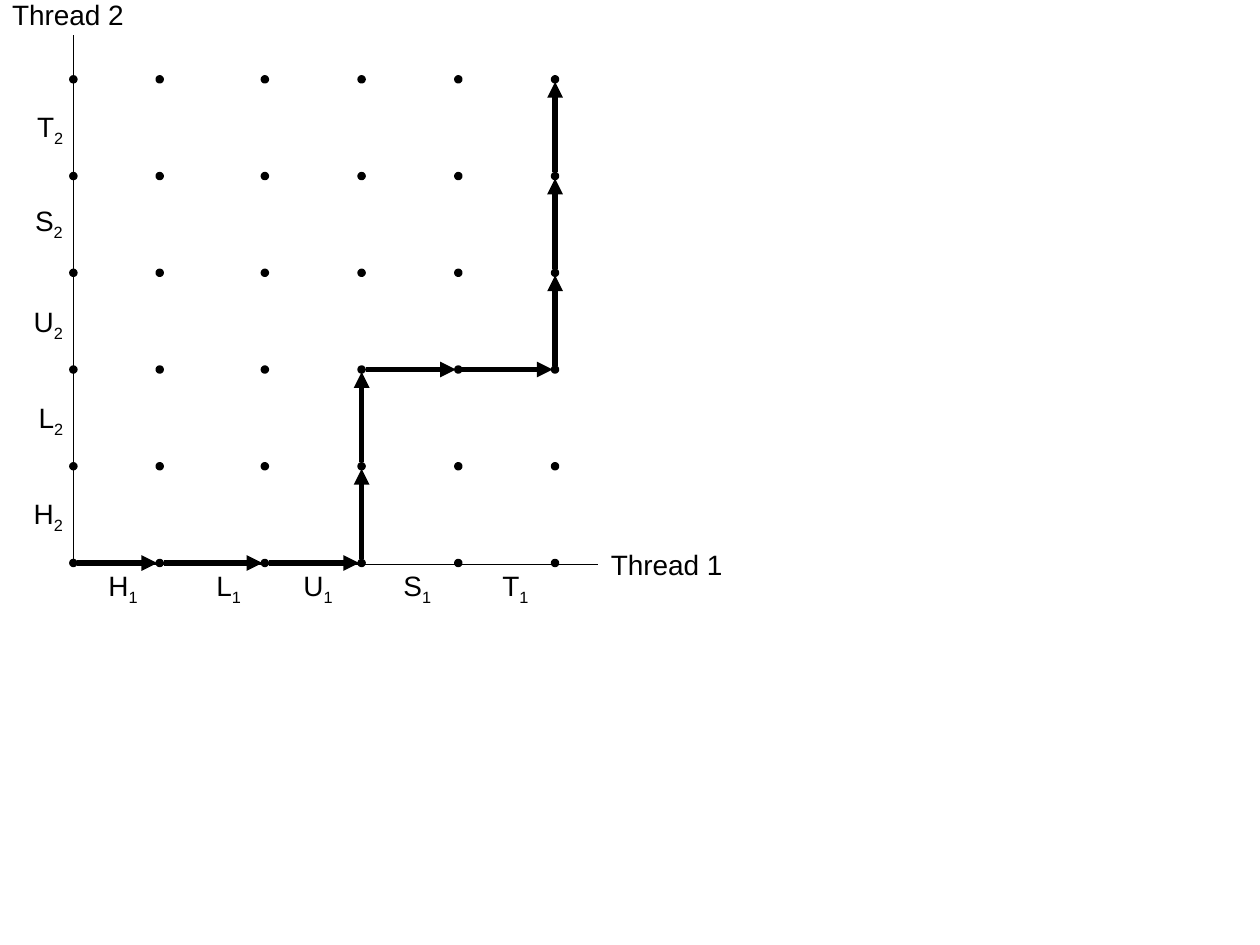
from itertools import pairwise, product

from lxml.etree import SubElement
from pptx import Presentation
from pptx.dml.color import RGBColor as Rgb
from pptx.enum.shapes import MSO_CONNECTOR as Connector, MSO_SHAPE as Shape
from pptx.enum.text import MSO_ANCHOR as Anchor, MSO_AUTO_SIZE as AutoSize, PP_ALIGN as Align
from pptx.oxml.ns import qn
from pptx.util import Cm, Pt

COLORS = {"ink": "000000", "paper": "FFFFFF"}
STEP = 1.95
COLUMNS = [1.48, 3.22] + [5.34 + STEP * step for step in range(4)]
ROWS = [1.6 + STEP * step for step in range(6)]
AXIS_Y = 11.38
ROUTE = [(0, 5), (1, 5), (2, 5), (3, 5), (3, 4), (3, 3), (4, 3), (5, 3), (5, 2), (5, 1), (5, 0)]
LABEL_WIDTHS = {"H": 1.09, "L": 0.99, "U": 1.09, "S": 1.07, "T": 1.02}
THREAD_1_CENTERS = [2.48, 4.61, 6.41, 8.41, 10.39]
THREAD_2_CENTERS = [10.4, 8.47, 6.52, 4.48, 2.6]


class ProgressGraph:
    font = "Arial"
    size = Pt(16)
    dot_size = 0.1
    label_height = 1.05
    side_margin = Cm(0.15)

    def __init__(self, page):
        self.page = page
        page.background.fill.solid()
        page.background.fill.fore_color.rgb = self.color("paper")

    def color(self, name):
        return Rgb.from_string(COLORS[name])

    def line(self, start, end, weight, arrow=False):
        line = self.page.shapes.add_connector(
            Connector.STRAIGHT, *(Cm(value) for value in (*start, *end)))
        line.line.color.rgb = self.color("ink")
        line.line.width = Pt(weight)
        properties = line._element.spPr
        if arrow:
            SubElement(properties.find(qn("a:ln")), qn("a:tailEnd"), type="triangle")
        SubElement(properties, qn("a:effectLst"))

    def dot(self, x, y):
        corner = x - self.dot_size / 2, y - self.dot_size / 2
        dot = self.page.shapes.add_shape(
            Shape.OVAL, *(Cm(value) for value in (*corner, self.dot_size, self.dot_size)))
        dot.shadow.inherit = False
        dot.fill.solid()
        dot.fill.fore_color.rgb = self.color("ink")
        dot.line.color.rgb = self.color("ink")
        dot.line.width = Pt(2)

    def step_arrow(self, start, end):
        across = (end[0] > start[0]) - (end[0] < start[0])
        down = (end[1] > start[1]) - (end[1] < start[1])
        tail = start[0] + 0.08 * across, start[1] + 0.08 * down
        tip = end[0] - 0.05 * across, end[1] - 0.05 * down
        self.line(tail, tip, 3, arrow=True)

    def text(self, left, top, width, height, words, subscript=""):
        box = self.page.shapes.add_textbox(Cm(left), Cm(top), Cm(width), Cm(height))
        frame = box.text_frame
        frame.word_wrap = False
        frame.auto_size = AutoSize.NONE
        frame.vertical_anchor = Anchor.MIDDLE
        frame.margin_left = frame.margin_right = self.side_margin
        para = frame.paragraphs[0]
        para.text = words
        para.alignment = Align.CENTER
        if subscript:
            span = para.add_run()
            span.text = subscript
            span.font._element.set("baseline", "-25000")
        for span in para.runs:
            span.font.name = self.font
            span.font.size = self.size
            span.font.color.rgb = self.color("ink")

    def label(self, left, top, letter, thread):
        self.text(left, top, LABEL_WIDTHS[letter], self.label_height, letter, thread)


def main():
    deck = Presentation()
    deck.slide_width, deck.slide_height = Cm(25.4), Cm(19.05)
    graph = ProgressGraph(deck.slides.add_slide(deck.slide_layouts[6]))

    origin = COLUMNS[0], AXIS_Y
    graph.line(origin, (12.06, AXIS_Y), 1)
    graph.line(origin, (COLUMNS[0], 0.71), 1)

    for (letter, width), x, y in zip(LABEL_WIDTHS.items(), THREAD_1_CENTERS, THREAD_2_CENTERS):
        graph.label(x - width / 2, 11.33, letter, "1")
        graph.label(1.52 - width, y - graph.label_height / 2, letter, "2")
    graph.text(12.07, 10.9, 2.74, 0.94, "Thread 1")
    graph.text(0, -0.18, 2.74, 0.94, "Thread 2")

    for x, y in product(COLUMNS, ROWS):
        graph.dot(x, y)
    points = [(COLUMNS[column], ROWS[row]) for column, row in ROUTE]
    for start, end in pairwise(points):
        graph.step_arrow(start, end)

    deck.save("out.pptx")


if __name__ == "__main__":
    main()
